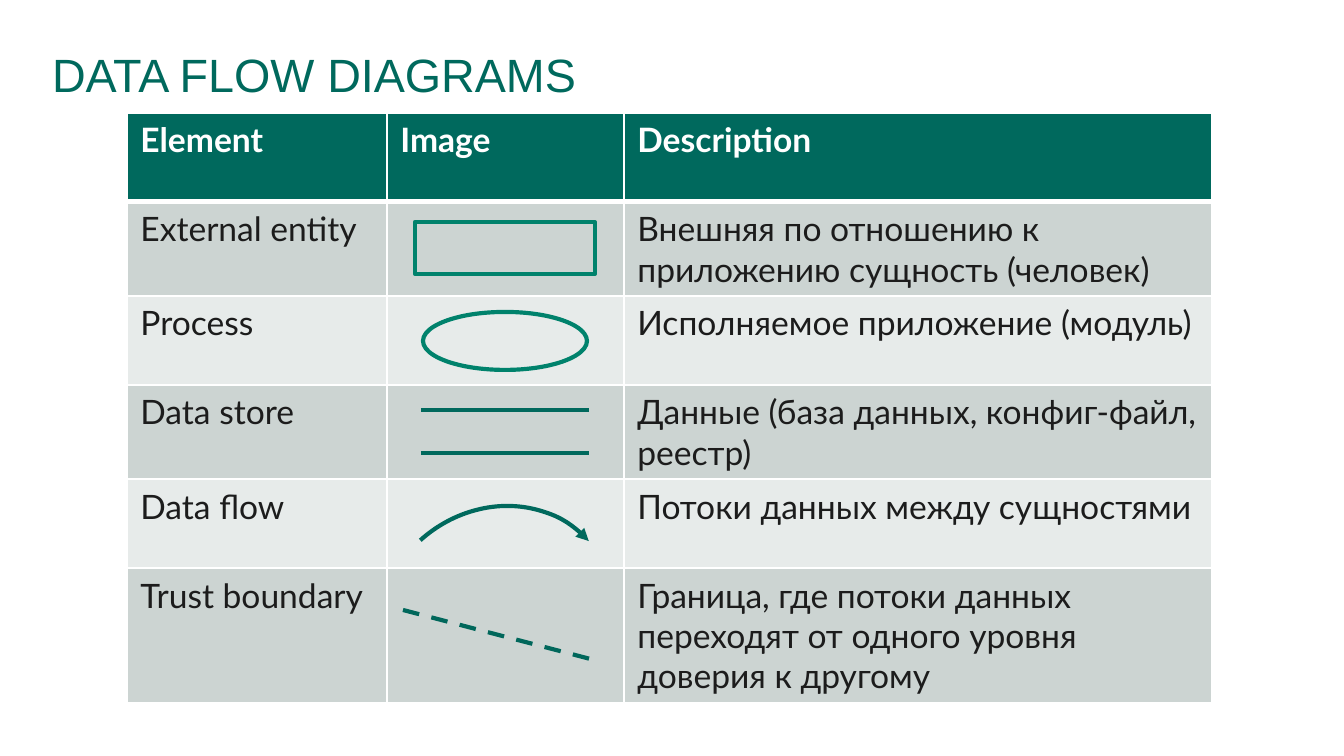
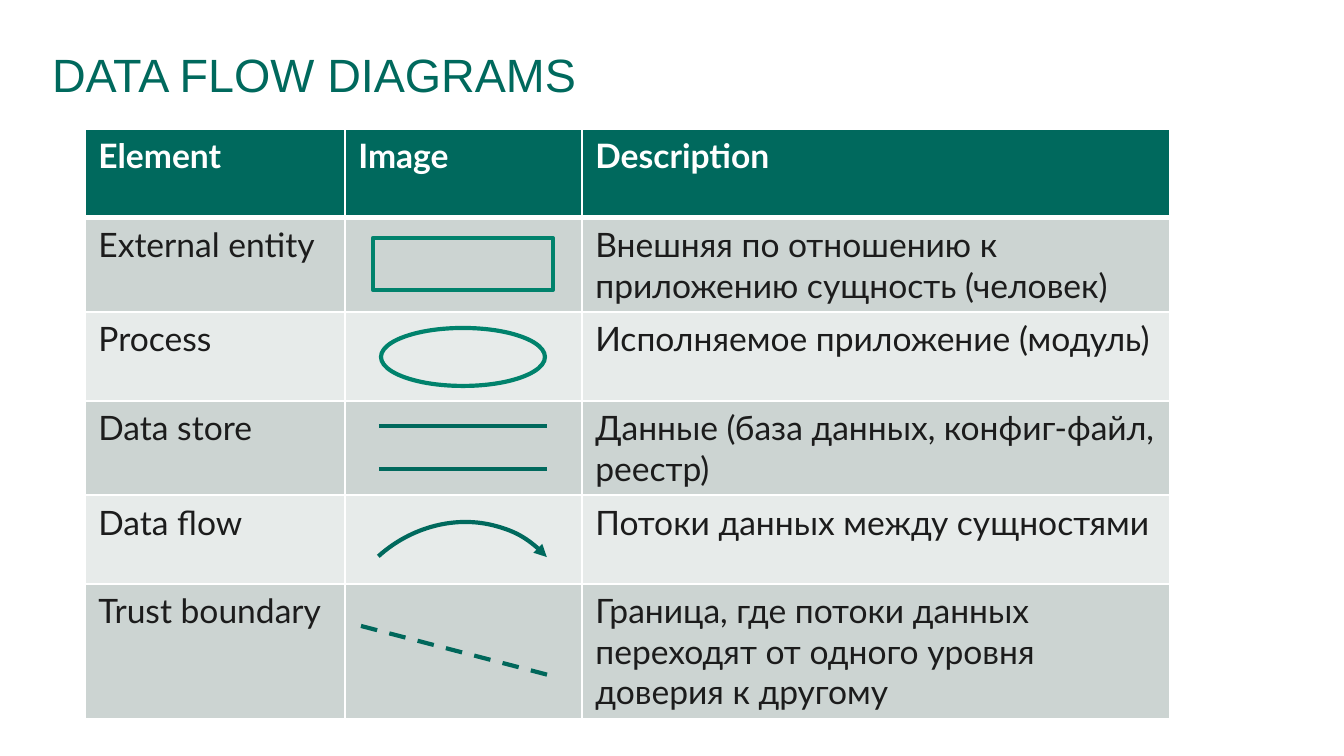
from lxml.etree import SubElement
from pptx import Presentation
from pptx.dml.color import RGBColor
from pptx.enum.dml import MSO_LINE
from pptx.enum.shapes import MSO_CONNECTOR, MSO_SHAPE
from pptx.enum.text import MSO_ANCHOR, MSO_AUTO_SIZE, PP_ALIGN
from pptx.oxml.ns import qn
from pptx.util import Pt

EMU_PER_PX = 9144000 / 1344
COLORS = {
    "header": "00695D",
    "entity": "00826C",
    "boundary": "00675B",
    "text": "1C1C1C",
    "white": "FFFFFF",
    "dark_band": "CCD4D2",
    "light_band": "E7EBEA",
}
RGB = {name: RGBColor.from_string(value) for name, value in COLORS.items()}

# Content shared by both slides
HEADING = "DATA FLOW DIAGRAMS"
ROWS = [
    ("Element", "Image", "Description"),
    ("External entity", "", "Внешняя по отношению к приложению сущность (человек)"),
    ("Process", "", "Исполняемое приложение (модуль)"),
    ("Data store", "", "Данные (база данных, конфиг-файл, реестр)"),
    ("Data flow", "", "Потоки данных между сущностями"),
    ("Trust boundary", "", "Граница, где потоки данных переходят от одного уровня доверия к другому"),
]
COLUMN_WIDTHS = [260, 237, 588]
ROW_HEIGHT = 89
TABLE_HEIGHT = 590
TABLE_CORNERS = [(127, 113), (85, 129)]


def px(*lengths):
    return [round(length * EMU_PER_PX) for length in lengths]


def outline(symbol, color):
    symbol.line.color.rgb = RGB[color]
    symbol.line.width = Pt(2.25)
    SubElement(symbol.element.spPr, qn("a:effectLst"))


prs = Presentation()
prs.slide_width, prs.slide_height = px(1344, 756)

for left, top in TABLE_CORNERS:
    slide = prs.slides.add_slide(prs.slide_layouts[5])
    shapes = slide.shapes

    # Title
    title = shapes.title
    title.left, title.top, title.width, title.height = px(52, 47, 1240, 99)
    frame = title.text_frame
    frame.margin_left = frame.margin_top = frame.margin_right = frame.margin_bottom = 0
    frame.vertical_anchor = MSO_ANCHOR.TOP
    frame.auto_size = MSO_AUTO_SIZE.NONE
    frame.text = HEADING
    heading = frame.paragraphs[0]
    heading.alignment = PP_ALIGN.LEFT
    heading.line_spacing = Pt(29.2)
    heading.font.name = "Arial"
    heading.font.size = Pt(25)
    heading.font.color.rgb = RGB["header"]

    # Table of diagram elements
    table_frame = shapes.add_table(
        len(ROWS), len(COLUMN_WIDTHS), *px(left, top, sum(COLUMN_WIDTHS), TABLE_HEIGHT))
    table = table_frame.table
    table.horz_banding = False
    for column, width in zip(table.columns, COLUMN_WIDTHS):
        column.width = px(width)[0]
    for r, texts in enumerate(ROWS):
        table.rows[r].height = px(ROW_HEIGHT)[0]
        band = "header" if r == 0 else "dark_band" if r % 2 else "light_band"
        for c, text in enumerate(texts):
            cell = table.cell(r, c)
            cell.text = text
            entry = cell.text_frame.paragraphs[0]
            entry.font.name = "Lato"
            entry.font.size = Pt(18)
            entry.font.bold = r == 0
            entry.font.color.rgb = RGB["white" if r == 0 else "text"]

            # White borders, thicker under the header
            properties = cell._tc.get_or_add_tcPr()
            for side in "LRTB":
                thick = (r, side) in [(0, "B"), (1, "T")]
                border = SubElement(properties, qn(f"a:ln{side}"), w=str(Pt(3 if thick else 1)))
                fill = SubElement(border, qn("a:solidFill"))
                SubElement(fill, qn("a:srgbClr"), val=COLORS["white"])
            cell.fill.solid()
            cell.fill.fore_color.rgb = RGB[band]
    table_frame.height = px(TABLE_HEIGHT)[0]

    # External entity and process
    for kind, x, y, width, height in [
        (MSO_SHAPE.RECTANGLE, 288, 109, 180, 52),
        (MSO_SHAPE.OVAL, 296, 199, 164, 58),
    ]:
        symbol = shapes.add_shape(kind, *px(left + x, top + y, width, height))
        symbol.fill.background()
        outline(symbol, "entity")

    # Data store
    store = shapes.add_group_shape()
    for y in (297, 340):
        store_line = store.shapes.add_connector(
            MSO_CONNECTOR.STRAIGHT, *px(left + 294, top + y, left + 462, top + y))
        outline(store_line, "header")

    # Data flow
    flow = shapes.add_shape(MSO_SHAPE.ARC, *px(left + 245, top + 398, 249, 227))
    flow.rotation = 317.9
    flow.fill.background()
    outline(flow, "header")
    SubElement(flow.element.spPr.find(qn("a:ln")), qn("a:tailEnd"), type="triangle")

    # Trust boundary
    boundary = shapes.add_connector(
        MSO_CONNECTOR.STRAIGHT, *px(left + 276, top + 497, left + 471, top + 548))
    outline(boundary, "boundary")
    boundary.line.dash_style = MSO_LINE.DASH

prs.save("out.pptx")
